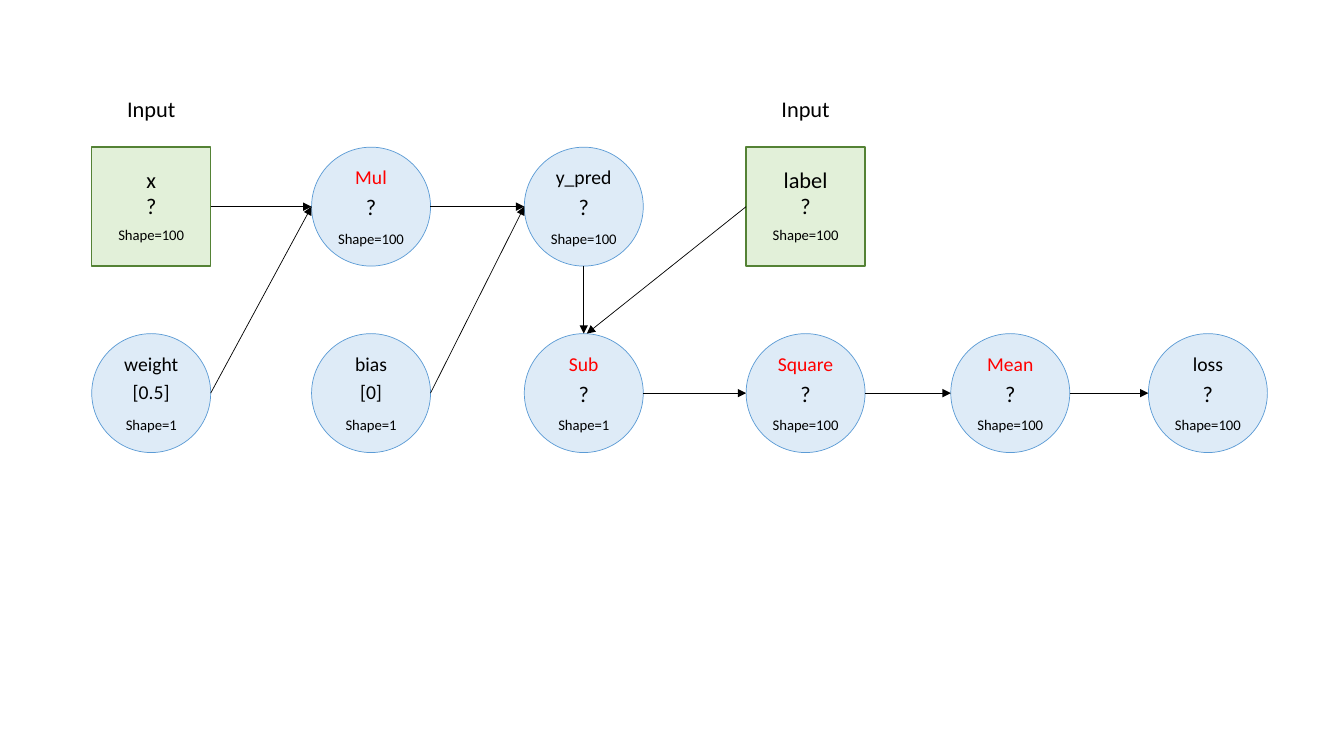
from dataclasses import dataclass

from lxml import etree
from pptx import Presentation
from pptx.dml.color import RGBColor
from pptx.enum.shapes import MSO_CONNECTOR, MSO_SHAPE
from pptx.enum.text import MSO_ANCHOR, MSO_AUTO_SIZE, PP_ALIGN
from pptx.oxml.ns import qn
from pptx.util import Inches, Pt

RECTANGLE, ELLIPSE = MSO_SHAPE.RECTANGLE, MSO_SHAPE.OVAL
STRAIGHT = MSO_CONNECTOR.STRAIGHT
CENTER, TOP = PP_ALIGN.CENTER, MSO_ANCHOR.TOP
FIT_SHAPE = MSO_AUTO_SIZE.SHAPE_TO_FIT_TEXT


@dataclass(frozen=True)
class Theme:
    font: str = "Calibri"
    text: str = "000000"
    operation: str = "FF0000"
    input_fill: str = "E2F0D9"
    input_line: str = "548235"
    node_fill: str = "DEEBF7"
    node_line: str = "5B9BD5"
    large: float = 16
    medium: float = 14
    small: float = 10.5
    input_width: float = 1
    thin: float = 0.5


THEME = Theme()
SLIDE_SIZE = (13.33, 7.5)
COLUMNS = (1.5, 3.68, 5.79, 7.99, 10.02, 11.98)
ROWS = (2.05, 3.9)
NODE_SIZE = 1.18
OPERATIONS = {"Mul", "Sub", "Square", "Mean"}

# Box heights by type size, and box widths by wording
TEXT_HEIGHTS = {THEME.large: 0.37, THEME.medium: 0.34, THEME.small: 0.28}
TEXT_WIDTHS = {
    "Input": 0.69, "x": 0.3, "label": 0.64, "weight": 0.75, "bias": 0.52,
    "Mul": 0.52, "y_pred": 0.76, "Sub": 0.5, "Square": 0.76, "Mean": 0.67,
    "loss": 0.51, "?": 0.31, "[0.5]": 0.57, "[0]": 0.42,
    "Shape=1": 0.72, "Shape=100": 0.87,
}

# Name, column, row, value, shape caption
INPUTS = (
    ("x", 0, 0, "?", "Shape=100"),
    ("label", 3, 0, "?", "Shape=100"),
)
NODES = (
    ("weight", 0, 1, "[0.5]", "Shape=1"),
    ("Mul", 1, 0, "?", "Shape=100"),
    ("bias", 1, 1, "[0]", "Shape=1"),
    ("y_pred", 2, 0, "?", "Shape=100"),
    ("Sub", 2, 1, "?", "Shape=1"),
    ("Square", 3, 1, "?", "Shape=100"),
    ("Mean", 4, 1, "?", "Shape=100"),
    ("loss", 5, 1, "?", "Shape=100"),
)

# Sides are the connection sites of a rectangle
SIDE_TOP, SIDE_LEFT, SIDE_BOTTOM, SIDE_RIGHT = range(4)
SIDE_SHARES = {
    SIDE_TOP: (0.5, 0), SIDE_LEFT: (0, 0.5),
    SIDE_BOTTOM: (0.5, 1), SIDE_RIGHT: (1, 0.5),
}
# Start, its side, end, its side, sideways shift of the end
EDGES = (
    ("x", SIDE_RIGHT, "Mul", SIDE_LEFT, 0),
    ("weight", SIDE_RIGHT, "Mul", SIDE_LEFT, 0),
    ("Mul", SIDE_RIGHT, "y_pred", SIDE_LEFT, 0),
    ("bias", SIDE_RIGHT, "y_pred", SIDE_LEFT, 0),
    ("label", SIDE_LEFT, "Sub", SIDE_TOP, 0.03),
    ("y_pred", SIDE_BOTTOM, "Sub", SIDE_TOP, 0),
    ("Sub", SIDE_RIGHT, "Square", SIDE_LEFT, 0),
    ("Square", SIDE_RIGHT, "Mean", SIDE_LEFT, 0),
    ("Mean", SIDE_RIGHT, "loss", SIDE_LEFT, 0),
)


def apply_format(target, values):
    for name, value in values.items():
        setattr(target, name, value)


def set_line(line, color, width):
    line.color.rgb = RGBColor.from_string(color)
    line.width = Pt(width)


def add_label(slide, text, center, top, size, color=THEME.text):
    """Add one line of text centred on a horizontal position."""
    width = TEXT_WIDTHS[text]
    box = slide.shapes.add_textbox(
        Inches(center - width / 2), Inches(top), Inches(width), Inches(TEXT_HEIGHTS[size])
    )
    frame = box.text_frame
    apply_format(frame, {"word_wrap": False, "auto_size": FIT_SHAPE, "vertical_anchor": TOP})
    paragraph = frame.paragraphs[0]
    paragraph.alignment = CENTER
    run = paragraph.add_run()
    run.text = text
    apply_format(run.font, {"name": THEME.font, "size": Pt(size)})
    run.font.color.rgb = RGBColor.from_string(color)


def add_body(slide, geometry, center, middle, fill, line, width):
    shape = slide.shapes.add_shape(
        geometry, Inches(center - NODE_SIZE / 2), Inches(middle - NODE_SIZE / 2),
        Inches(NODE_SIZE), Inches(NODE_SIZE),
    )
    shape.shadow.inherit = False
    shape.fill.solid()
    shape.fill.fore_color.rgb = RGBColor.from_string(fill)
    set_line(shape.line, line, width)
    return shape


def add_input(slide, name, column, row, value, caption):
    center, middle = COLUMNS[column], ROWS[row]
    shape = add_body(slide, RECTANGLE, center, middle,
                     THEME.input_fill, THEME.input_line, THEME.input_width)
    add_label(slide, "Input", center, middle - 1.16, THEME.large)
    add_label(slide, name, center, middle - 0.45, THEME.large)
    add_label(slide, value, center, middle - 0.19, THEME.large)
    add_label(slide, caption, center, middle + 0.14, THEME.small)
    return shape


def add_node(slide, name, column, row, value, caption):
    center, middle = COLUMNS[column], ROWS[row]
    shape = add_body(slide, ELLIPSE, center, middle,
                     THEME.node_fill, THEME.node_line, THEME.thin)
    color = THEME.operation if name in OPERATIONS else THEME.text
    value_size = THEME.large if value == "?" else THEME.medium
    add_label(slide, name, center, middle - 0.46, THEME.medium, color)
    add_label(slide, value, center, middle - 0.18, value_size)
    add_label(slide, caption, center, middle + 0.18, THEME.small)
    return shape


def side_point(shape, side):
    across, down = SIDE_SHARES[side]
    return shape.left + int(shape.width * across), shape.top + int(shape.height * down)


def add_arrow(slide, start, start_side, end, end_side, shift):
    start_x, start_y = side_point(start, start_side)
    end_x, end_y = side_point(end, end_side)
    arrow = slide.shapes.add_connector(
        STRAIGHT, start_x, start_y, end_x + Inches(shift), end_y
    )
    if start.auto_shape_type == RECTANGLE:
        arrow.begin_connect(start, start_side)
    set_line(arrow.line, THEME.text, THEME.thin)
    properties = arrow.element.spPr
    etree.SubElement(properties.find(qn("a:ln")), qn("a:tailEnd"), type="triangle")
    etree.SubElement(properties, qn("a:effectLst"))


def main():
    presentation = Presentation()
    width, height = SLIDE_SIZE
    apply_format(presentation, {"slide_width": Inches(width), "slide_height": Inches(height)})
    slide = presentation.slides.add_slide(presentation.slide_layouts[6])
    shapes = {}
    for add, entries in ((add_input, INPUTS), (add_node, NODES)):
        for entry in entries:
            shapes[entry[0]] = add(slide, *entry)
    for start, start_side, end, end_side, shift in EDGES:
        add_arrow(slide, shapes[start], start_side, shapes[end], end_side, shift)
    presentation.save("out.pptx")


if __name__ == "__main__":
    main()
